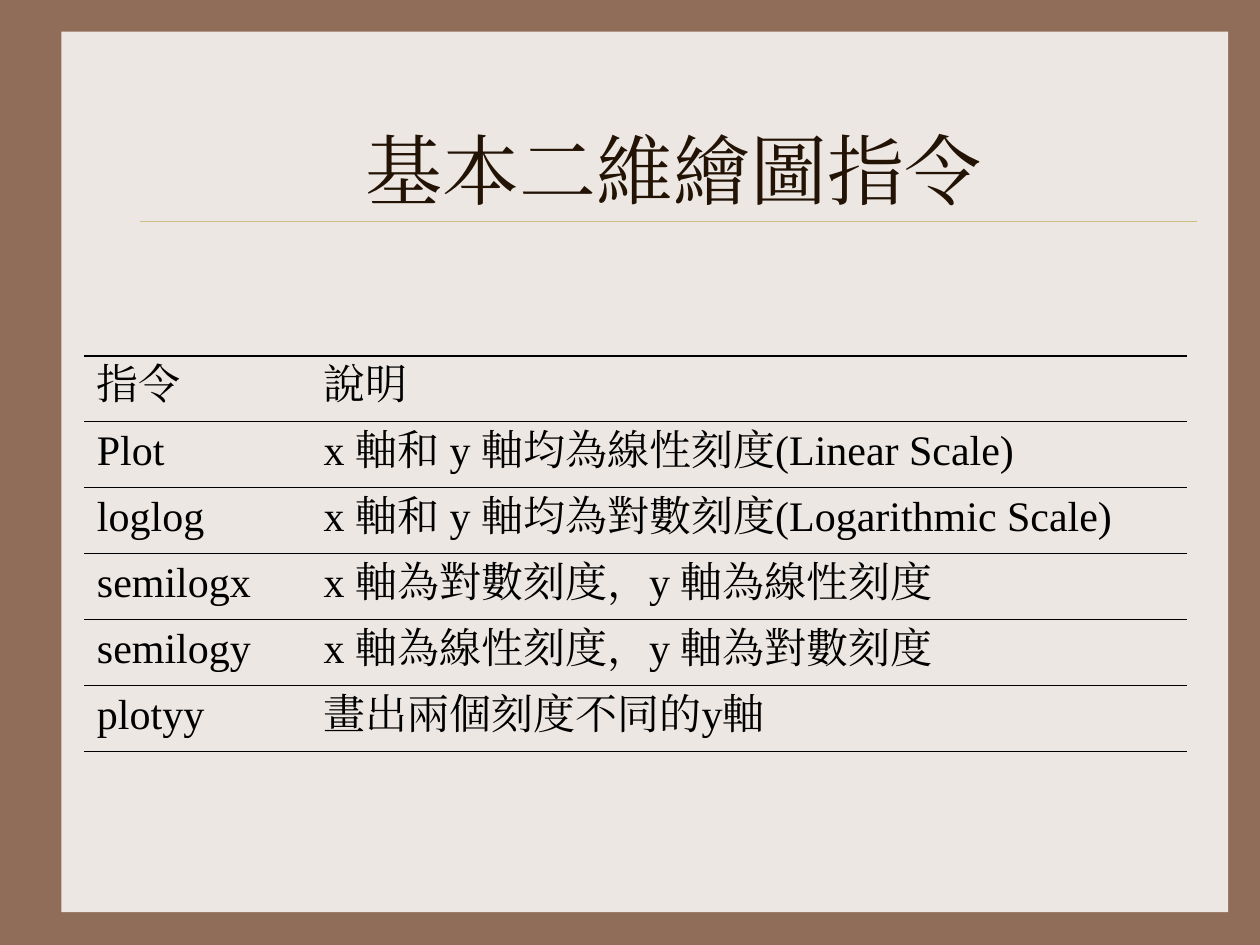
from dataclasses import dataclass

from lxml import etree
from pptx import Presentation
from pptx.dml.color import RGBColor
from pptx.enum import shapes, text
from pptx.oxml import ns
from pptx.util import Cm, Pt

BROWN = RGBColor(0x90, 0x6D, 0x58)
PAPER = RGBColor(0xED, 0xE7, 0xE3)
GOLD = RGBColor(0xCB, 0xBD, 0x83)
DARK_BROWN = RGBColor(0x22, 0x13, 0x04)
BLACK = RGBColor(0, 0, 0)
FONT = "Times New Roman"
THICK, THIN = Pt(1.08), Pt(0.45)
ROW_HEIGHT = Cm(1.33)
COLUMN_WIDTHS = (Cm(4.57), Cm(17.65))


@dataclass(frozen=True)
class Command:
    name: str
    description: str


COMMANDS = (
    Command("指令", "說明"),
    Command("Plot", "x 軸和 y 軸均為線性刻度(Linear Scale)"),
    Command("loglog", "x 軸和 y 軸均為對數刻度(Logarithmic Scale)"),
    Command("semilogx", "x 軸為對數刻度，y 軸為線性刻度"),
    Command("semilogy", "x 軸為線性刻度，y 軸為對數刻度"),
    Command("plotyy", "畫出兩個刻度不同的y軸"),
)


def write(frame, content: str, size: int, color: RGBColor):
    frame.text = content
    paragraph = frame.paragraphs[0]
    for run in paragraph.runs:
        font = run.font
        font.name, font.size, font.bold = FONT, Pt(size), False
        font.color.rgb = color
        east_asian = etree.SubElement(run._r.get_or_add_rPr(), ns.qn("a:ea"))
        east_asian.set("typeface", FONT)
    return paragraph


def set_borders(cell, top: int, bottom: int) -> None:
    """Rule a cell above and below, leaving its sides open."""
    properties = cell._tc.get_or_add_tcPr()
    widths = {"a:lnL": 0, "a:lnR": 0, "a:lnT": top, "a:lnB": bottom}
    for index, (tag, width) in enumerate(widths.items()):
        line = etree.Element(ns.qn(tag), w=str(int(width)))
        if width:
            fill = etree.SubElement(line, ns.qn("a:solidFill"))
            etree.SubElement(fill, ns.qn("a:srgbClr"), val=str(BLACK))
        else:
            etree.SubElement(line, ns.qn("a:noFill"))
        properties.insert(index, line)


def add_backdrop(slide) -> None:
    slide.background.fill.solid()
    slide.background.fill.fore_color.rgb = BROWN
    paper = slide.shapes.add_shape(
        shapes.MSO_SHAPE.RECTANGLE, Cm(1.24), Cm(0.64), Cm(23.52), Cm(17.75))
    paper.shadow.inherit = False
    paper.fill.solid()
    paper.fill.fore_color.rgb = PAPER
    paper.line.fill.background()
    rule = slide.shapes.add_connector(
        shapes.MSO_CONNECTOR.STRAIGHT, Cm(2.82), Cm(4.45), Cm(24.13), Cm(4.45))
    rule.line.color.rgb = GOLD
    rule.line.width = Pt(0.25)
    etree.SubElement(rule._element.spPr, ns.qn("a:effectLst"))


def add_title(slide, content: str) -> None:
    frame = slide.shapes.add_textbox(
        Cm(2.77), Cm(1.27), Cm(21.64), Cm(3.18)).text_frame
    frame.word_wrap = True
    frame.vertical_anchor = text.MSO_ANCHOR.BOTTOM
    write(frame, content, 44, DARK_BROWN).alignment = text.PP_ALIGN.CENTER


def add_command_table(slide, commands: tuple[Command, ...]) -> None:
    last = len(commands) - 1
    table = slide.shapes.add_table(
        len(commands), len(COLUMN_WIDTHS), Cm(1.7), Cm(7.17),
        sum(COLUMN_WIDTHS), ROW_HEIGHT * len(commands)).table
    table.first_row = table.horz_banding = False
    for column, width in zip(table.columns, COLUMN_WIDTHS):
        column.width = width
    for index, command in enumerate(commands):
        table.rows[index].height = ROW_HEIGHT
        top = THICK if index <= 1 else THIN
        bottom = THICK if index in (0, last) else THIN
        for cell, content in zip(table.rows[index].cells,
                                 (command.name, command.description)):
            cell.fill.background()
            write(cell.text_frame, content, 24, BLACK).space_before = Pt(6)
            set_borders(cell, top, bottom)


def main() -> None:
    presentation = Presentation()
    presentation.slide_width, presentation.slide_height = Cm(25.4), Cm(19.05)
    slide = presentation.slides.add_slide(presentation.slide_layouts[6])
    add_backdrop(slide)
    add_title(slide, "基本二維繪圖指令")
    add_command_table(slide, COMMANDS)
    presentation.save("out.pptx")


if __name__ == "__main__":
    main()
